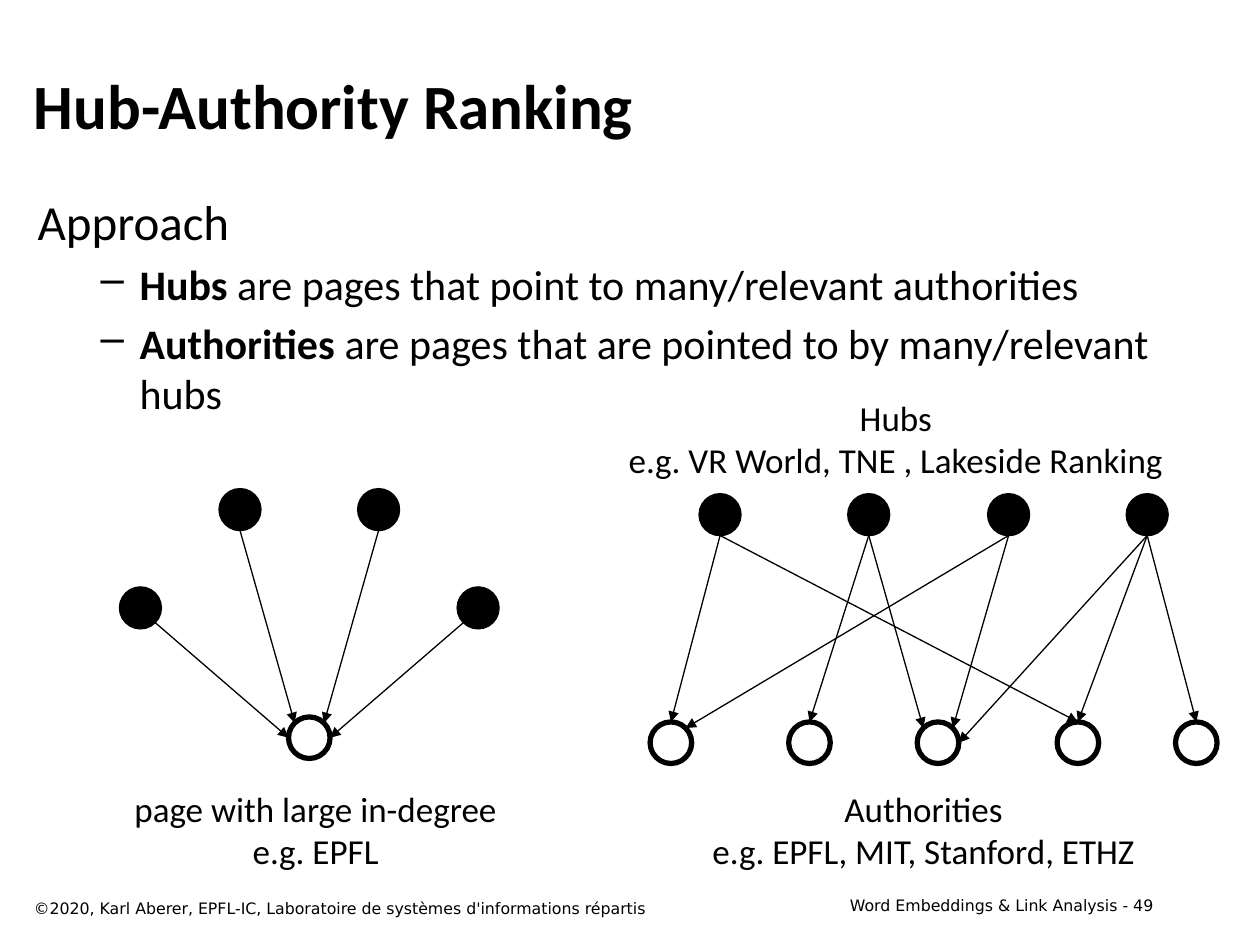
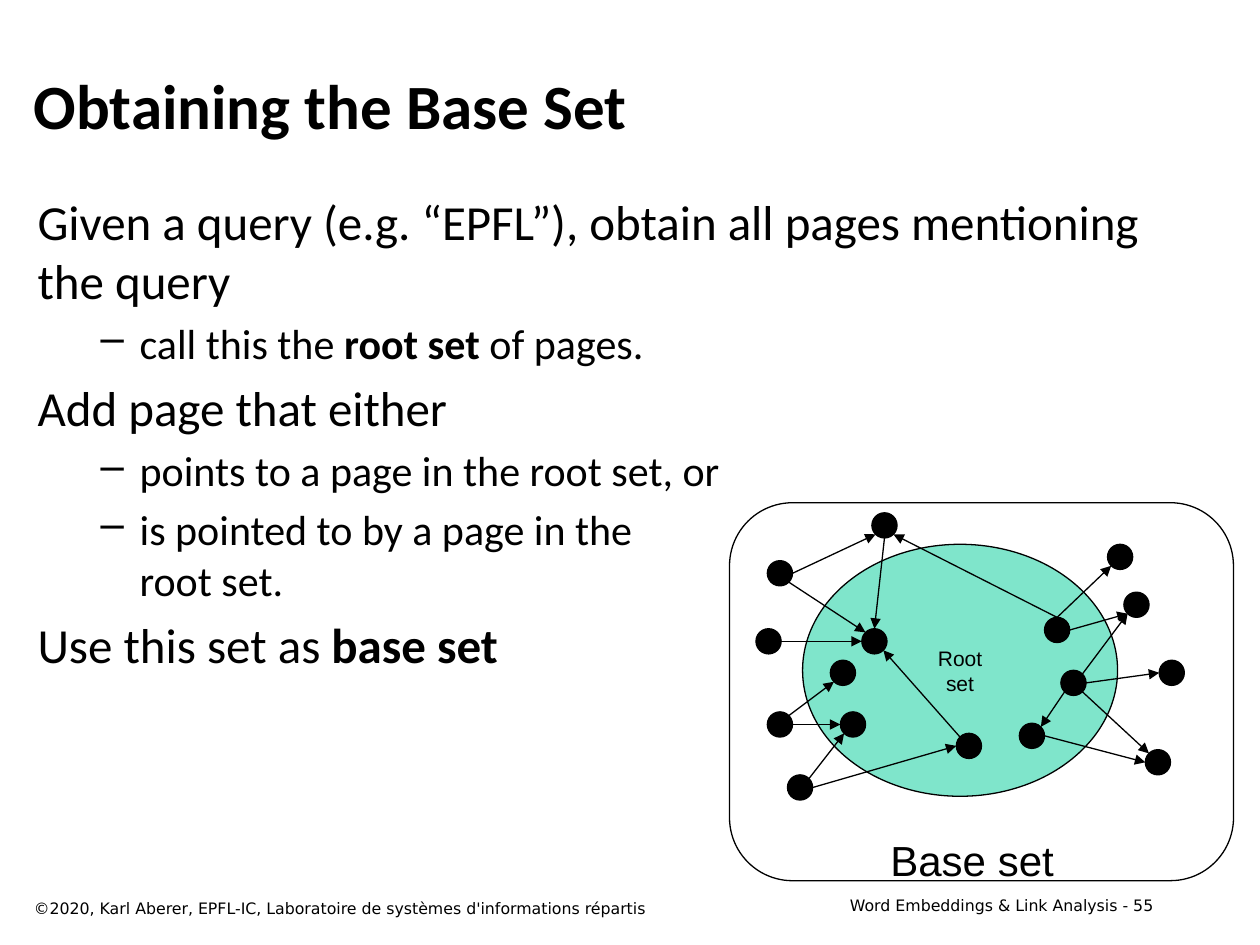
import math

import lxml.etree
import pptx
import pptx.dml.color
import pptx.enum.shapes
import pptx.enum.text
import pptx.oxml.ns
import pptx.util

PX = 9144  # one hundredth of an inch
BLACK = pptx.dml.color.RGBColor(0x00, 0x00, 0x00)
GREEN = pptx.dml.color.RGBColor(0x00, 0xCC, 0x99)

Pt = pptx.util.Pt
qn = pptx.oxml.ns.qn
KIND = pptx.enum.shapes.MSO_SHAPE
ALIGN = pptx.enum.text.PP_ALIGN
MIDDLE = pptx.enum.text.MSO_ANCHOR.MIDDLE

HEAD = {"name": "Calibri", "size": Pt(36), "bold": True}
BODY = {"name": "Calibri", "size": Pt(28)}
ITEM = {"name": "Calibri", "size": Pt(24)}
LABEL = {"name": "Calibri", "size": Pt(20)}
FOOT = {"name": "DejaVu Sans", "size": Pt(9)}
ROOT = {"name": "Arial", "size": Pt(12)}
BASE = {"name": "Arial", "size": Pt(24)}


def write(shape, lines, look, align=ALIGN.LEFT, wrap=True):
    """Fill a shape with lines; *stars* mark bold, a leading "– " marks an item."""
    frame = shape.text_frame
    frame.word_wrap = wrap
    for row, line in enumerate(lines):
        para = frame.paragraphs[0] if row == 0 else frame.add_paragraph()
        para.alignment = align
        font = look
        if line.startswith("– "):
            font, line = ITEM, line[2:]
            para.level = 1
            props = para._p.get_or_add_pPr()
            props.set("marL", str(81 * PX))
            props.set("indent", str(-31 * PX))
            lxml.etree.SubElement(props, qn("a:buChar")).set("char", "–")
        if row and look is BODY:
            para.space_before = Pt(font["size"].pt * 0.2)
        for turn, chunk in enumerate(line.split("*")):
            for part, text in enumerate(chunk.split("\n")):
                if part:
                    para.add_line_break()
                run = para.add_run()
                run.text = text
                run.font.color.rgb = BLACK
                for key, value in {"bold": turn % 2 == 1, **font}.items():
                    setattr(run.font, key, value)


def graph(slide, nodes, links, size, width, rings=""):
    """Draw circles and arrows.

    A link such as "b5t2" runs from site 5 of b to site 2 of t. Sites are
    eighths of the circle, counted counterclockwise from the top.
    """
    for name, (left, top) in nodes.items():
        dot = slide.shapes.add_shape(KIND.OVAL, left * PX, top * PX, size * PX, size * PX)
        dot.shadow.inherit = False
        dot.line.color.rgb = BLACK
        if name in rings:
            dot.fill.background()
            dot.line.width = Pt(3)
        else:
            dot.fill.solid()
            dot.fill.fore_color.rgb = BLACK
            dot.line.width = Pt(width)
    for src, out, dst, into in links.split():
        ends = []
        for name, site in ((src, out), (dst, into)):
            angle = int(site) * math.pi / 4
            left, top = nodes[name]
            ends.append(round((left + size / 2 * (1 - math.sin(angle))) * PX))
            ends.append(round((top + size / 2 * (1 - math.cos(angle))) * PX))
        link = slide.shapes.add_connector(pptx.enum.shapes.MSO_CONNECTOR.STRAIGHT, *ends)
        link.line.color.rgb = BLACK
        link.line.width = Pt(0.75)
        props = link._element.spPr
        lxml.etree.SubElement(props.find(qn("a:ln")), qn("a:tailEnd")).set("type", "triangle")
        lxml.etree.SubElement(props, qn("a:effectLst"))


deck = pptx.Presentation()
deck.slide_width = 1000 * PX
deck.slide_height = 750 * PX

PAGES = [
    (49, "Hub-Authority Ranking", [
        "Approach",
        "– *Hubs* are pages that point to many/relevant authorities",
        "– *Authorities* are pages that are pointed to by many/relevant hubs",
    ]),
    (55, "Obtaining the Base Set", [
        "Given a query (e.g. “EPFL”), obtain all pages mentioning the query",
        "– call this the *root set* of pages.",
        "Add page that either",
        "– points to a page in the root set, or",
        "– is pointed to by a page in the\nroot set.",
        "Use this set as *base set*",
    ]),
]

# Title, body and footers of both slides
for page, title, body in PAGES:
    slide = deck.slides.add_slide(deck.slide_layouts[6])
    for box, lines, look, align in (
        ((634, 706, 291, 25), [f"Word Embeddings & Link Analysis - {page}"], FOOT, ALIGN.RIGHT),
        ((17, 708, 642, 25),
         ["©2020, Karl Aberer, EPFL-IC, Laboratoire de systèmes d'informations répartis"],
         FOOT, ALIGN.LEFT),
        ((17, 33, 908, 100), [title], HEAD, ALIGN.LEFT),
        ((20, 147, 908, 550), body, BODY, ALIGN.LEFT),
    ):
        area = slide.shapes.add_textbox(*(n * PX for n in box))
        write(area, lines, look, align)
        if look is HEAD:
            area.text_frame.vertical_anchor = MIDDLE

first, second = deck.slides

# In-degree on the left, hubs and authorities on the right
pages = {"a": (95, 466), "b": (174, 388), "c": (284, 388), "d": (363, 466), "t": (229, 569)}
graph(first, pages, "a5t2 b4t1 c4t7 d3t6", 33, 1, rings="t")

hubs = {name: (left, 392) for name, left in zip("abcd", (555, 673, 784, 894))}
auths = {name: (left, 573) for name, left in zip("pqrst", (516, 626, 728, 839, 933))}
graph(first, {**hubs, **auths}, "a4p0 a4s0 b4q0 b4r1 c4r7 c4p7 d4r6 d4s0 d4t0", 33, 1,
      rings="pqrst")

for box, lines in (
    ((95, 620, 311, 77), ["page with large in-degree", "e.g. EPFL"]),
    ((554, 620, 358, 77), ["Authorities", "e.g. EPFL, MIT, Stanford, ETHZ"]),
    ((484, 310, 454, 77), ["Hubs", "e.g. VR World, TNE , Lakeside Ranking"]),
):
    label = first.shapes.add_textbox(*(n * PX for n in box))
    write(label, lines, LABEL, ALIGN.CENTER, wrap=False)

# Root set inside the base set
root = second.shapes.add_shape(KIND.FLOWCHART_CONNECTOR, 637 * PX, 432 * PX, 250 * PX, 200 * PX)
root.fill.solid()
root.fill.fore_color.rgb = GREEN
tint = root._element.spPr.find(qn("a:solidFill")).find(qn("a:srgbClr"))
lxml.etree.SubElement(tint, qn("a:alpha")).set("val", "50000")
write(root, ["Root", "set"], ROOT, ALIGN.CENTER, wrap=False)
root.text_frame.vertical_anchor = MIDDLE

base = second.shapes.add_shape(KIND.ROUNDED_RECTANGLE, 579 * PX, 399 * PX, 400 * PX, 300 * PX)
base.fill.background()
for shape in (root, base):
    shape.shadow.inherit = False
    shape.line.color.rgb = BLACK
    shape.line.width = Pt(0.75)

web = {
    "a": (692, 407), "b": (600, 499), "c": (609, 445), "d": (909, 595),
    "e": (920, 524), "f": (892, 470), "g": (879, 432), "h": (609, 565),
    "i": (625, 615), "j": (759, 582), "k": (809, 574), "l": (842, 532),
    "m": (829, 490), "n": (684, 499), "o": (667, 565), "p": (659, 524),
}
graph(second, web,
      "a4n0 m0a5 m0g3 m6f3 l6e2 l5d1 l3k7 k6d2 l7f3 "
      "i6j2 i7o3 h6o2 h7p3 j1n5 b6n2 c6a3 c5n1", 20, 0.75)

label = second.shapes.add_textbox(696 * PX, 657 * PX, 151 * PX, 50 * PX)
write(label, ["Base set"], BASE, ALIGN.CENTER, wrap=False)
label.text_frame.vertical_anchor = MIDDLE

deck.save("out.pptx")
